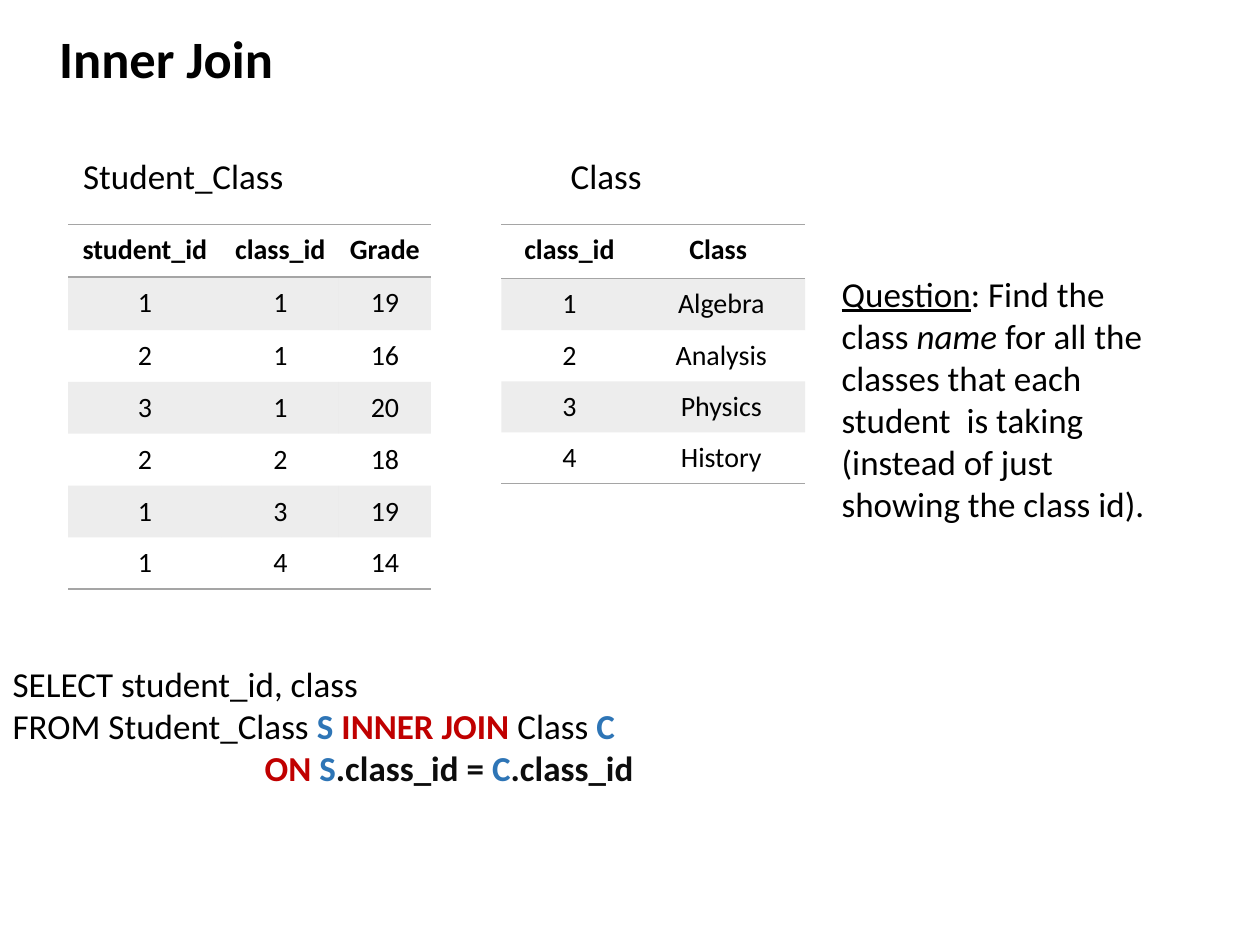
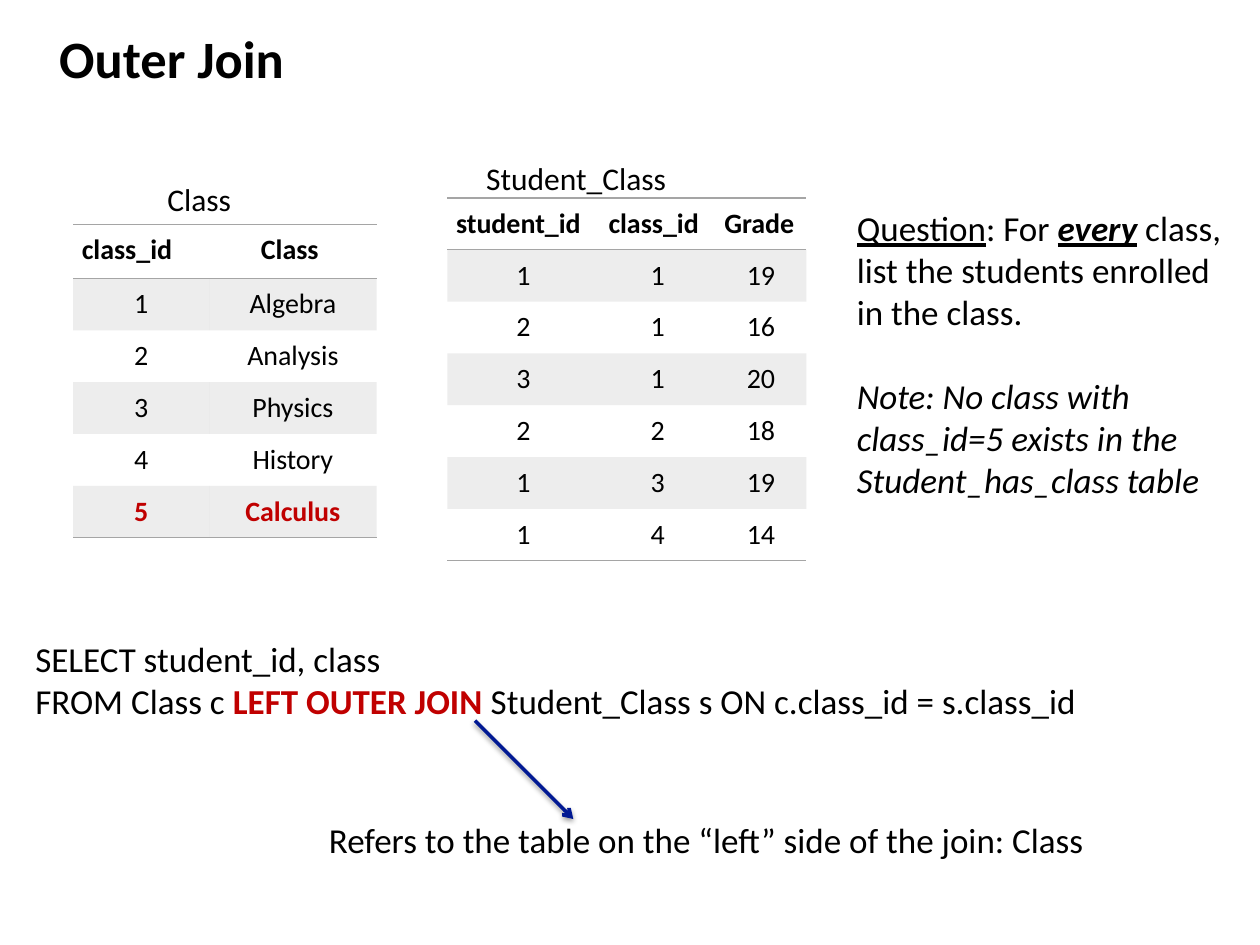
from dataclasses import dataclass

from lxml import etree
from pptx import Presentation
from pptx.dml.color import RGBColor
from pptx.enum.shapes import MSO_CONNECTOR
from pptx.enum.text import MSO_ANCHOR, MSO_AUTO_SIZE, PP_ALIGN
from pptx.oxml import parse_xml
from pptx.oxml.ns import nsdecls, qn
from pptx.util import Inches, Pt

LEFT, CENTER = PP_ALIGN.LEFT, PP_ALIGN.CENTER
TOP = MSO_ANCHOR.TOP
FIT_SHAPE, NO_FIT = MSO_AUTO_SIZE.SHAPE_TO_FIT_TEXT, MSO_AUTO_SIZE.NONE
STRAIGHT = MSO_CONNECTOR.STRAIGHT
TITLE_ONLY = 5
NO_TABLE_STYLE = "{2D5ABB26-0587-4C30-8999-92F81FD0307C}"

# The slide is a grid of 100 columns by 75 rows
COLUMNS, ROWS = 100, 75
UNIT = Inches(0.1)


@dataclass(frozen=True)
class Theme:
    font: str = "Calibri"
    title: int = 30
    body: int = 20
    caption: int = 18
    cell: int = 16
    black: str = "000000"
    ink: str = "0D0D0D"
    red: str = "C00000"
    blue: str = "2E75B6"
    arrow: str = "011993"
    grey: str = "A5A5A5"
    band_alpha: int = 20000


THEME = Theme()


@dataclass(frozen=True)
class Box:
    left: float
    top: float
    width: float
    height: float

    def inside(self, right, down, width, height):
        return Box(self.left + right, self.top + down, width, height)

    def lengths(self):
        return [grid(n) for n in (self.left, self.top, self.width, self.height)]


TITLE_BOX = Box(4.2, 1.6, 84.8, 6.1)

# Run styles
PLAIN = {}
UNDERLINED = {"underline": True}
ITALIC = {"italic": True}
STRESSED = {"bold": True, "italic": True, "underline": True}
KEYWORD = {"bold": True, "color": THEME.red}
ALIAS = {"bold": True, "color": THEME.blue}
FIELD = {"bold": True, "color": THEME.ink}

# Table contents
STUDENT_CLASS = [
    ("student_id", "class_id", "Grade"),
    ("1", "1", "19"),
    ("2", "1", "16"),
    ("3", "1", "20"),
    ("2", "2", "18"),
    ("1", "3", "19"),
    ("1", "4", "14"),
]
CLASS = [
    ("class_id", "Class "),
    ("1", "Algebra"),
    ("2", "Analysis"),
    ("3", "Physics"),
    ("4", "History"),
]
CLASS_COLUMNS = (10.8, 13.3)
CLASS_ROWS = (4.3, 4.1, 3.9)


def grid(count):
    return round(count * UNIT)


def style_font(font, size=None, color=None, bold=None, italic=None, underline=None):
    if size:
        font.name, font.size = THEME.font, Pt(size)
    if color:
        font.color.rgb = RGBColor.from_string(color)
    font.bold, font.italic, font.underline = bold, italic, underline


def write_para(para, runs, size, align=LEFT, color=THEME.black, bold=None):
    para.alignment = align
    style_font(para.font, size, color, bold)
    for text, style in runs:
        span = para.add_run()
        span.text = text
        style_font(span.font, **style)


def set_margins(frame, side):
    frame.margin_left = frame.margin_right = grid(side)
    frame.margin_top = frame.margin_bottom = grid(0.5)


def add_text(page, box, lines, size=THEME.body, wrap=True, side=0.5):
    """Write one paragraph per line and return the paragraphs."""
    frame = page.shapes.add_textbox(*box.lengths()).text_frame
    frame.word_wrap, frame.auto_size = wrap, FIT_SHAPE
    set_margins(frame, side)
    for index, runs in enumerate(lines):
        para = frame.add_paragraph() if index else frame.paragraphs[0]
        write_para(para, runs, size)
    return frame.paragraphs


def add_title(page, box, text):
    title = page.shapes.title
    title.left, title.top, title.width, title.height = box.lengths()
    frame = title.text_frame
    frame.vertical_anchor, frame.auto_size = TOP, NO_FIT
    set_margins(frame, 0.5)
    write_para(frame.paragraphs[0], [(text, PLAIN)], THEME.title, bold=True)


def add_border(cell, side):
    """Rule one side of a cell; borders come before the fill."""
    border = parse_xml(
        f'<a:{side} {nsdecls("a")} w="12700"><a:solidFill>'
        f'<a:srgbClr val="{THEME.grey}"/></a:solidFill></a:{side}>')
    properties = cell._tc.get_or_add_tcPr()
    properties.insert(len(properties.findall(qn("a:lnT"))), border)


def shade(cell):
    cell.fill.solid()
    cell.fill.fore_color.rgb = RGBColor.from_string(THEME.grey)
    color = cell._tc.tcPr.find(".//" + qn("a:srgbClr"))
    etree.SubElement(color, qn("a:alpha")).set("val", str(THEME.band_alpha))


def add_data_table(page, box, records, columns, rows, header_aligns, marked=None):
    """Rows gives the heights of the header, the first record and the rest."""
    table = page.shapes.add_table(len(records), len(columns), *box.lengths()).table
    table.horz_banding = False
    table._tbl.tblPr.find(qn("a:tableStyleId")).text = NO_TABLE_STYLE
    for column, width in zip(table.columns, columns):
        column.width = grid(width)
    for r, record in enumerate(records):
        table.rows[r].height = grid(rows[min(r, len(rows) - 1)])
        for c, text in enumerate(record):
            cell = table.cell(r, c)
            cell.margin_left = cell.margin_right = grid(0.7)
            cell.margin_top = cell.margin_bottom = grid(0.7)
            para = cell.text_frame.paragraphs[0]
            write_para(para, [(text, PLAIN)], THEME.cell,
                       CENTER if r else header_aligns[c],
                       THEME.red if r == marked else THEME.black,
                       r in (0, marked))
            if r % 2:
                shade(cell)
            else:
                cell.fill.background()
            if r == 0:
                para.space_before = Pt(5)
                add_border(cell, "lnT")
            if r in (0, len(records) - 1):
                add_border(cell, "lnB")


def add_arrow(page, box):
    start_x, start_y, width, height = box.lengths()
    arrow = page.shapes.add_connector(
        STRAIGHT, start_x, start_y, start_x + width, start_y + height)
    arrow.line.color.rgb = RGBColor.from_string(THEME.arrow)
    arrow.line.width = Pt(2)
    etree.SubElement(arrow.line._get_or_add_ln(), qn("a:tailEnd")).set("type", "arrow")
    arrow._element.spPr.append(parse_xml(
        f'<a:effectLst {nsdecls("a")}><a:outerShdw blurRad="38100" dist="20320" '
        'dir="5400000" rotWithShape="0"><a:srgbClr val="000000">'
        '<a:alpha val="38000"/></a:srgbClr></a:outerShdw></a:effectLst>'))


def build_inner_join(page, box):
    add_title(page, TITLE_BOX, "Inner Join")

    # Tables with their captions
    grades = box.inside(5.4, 17.8, 28.8, 28.8)
    add_data_table(page, grades, STUDENT_CLASS, (12.2, 9.3, 7.3),
                   (4.2, 4.2, 4.1), [CENTER] * 3)
    add_text(page, grades.inside(0.7, -6, 17.1, 4.4),
             [[("Student_Class", PLAIN)]], wrap=False)
    classes = box.inside(39.8, 17.8, 24.1, 20.6)
    add_data_table(page, classes, CLASS, CLASS_COLUMNS, CLASS_ROWS, [CENTER] * 2)
    add_text(page, classes.inside(5, -6, 6.7, 4.4), [[("Class", PLAIN)]], wrap=False)

    # Question
    add_text(page, box.inside(66.3, 21.1, 27.7, 21.2), [
        [("Question", UNDERLINED), (": Find the", PLAIN)],
        [("class ", PLAIN), ("name", ITALIC), (" for all the", PLAIN)],
        [("classes that each student  is taking (instead of just "
          "showing the class id).", PLAIN)],
    ])

    # Query
    query = add_text(page, box.inside(0.5, 52.1, 94.2, 11.1), [
        [("SELECT student_id, class", PLAIN)],
        [("FROM Student_Class ", PLAIN), ("S ", ALIAS), ("INNER JOIN ", KEYWORD),
         ("Class ", PLAIN), ("C", ALIAS)],
        [("ON ", KEYWORD), ("S", ALIAS), (".class_id = ", FIELD),
         ("C", ALIAS), (".class_id", FIELD)],
    ])
    query[-1]._p.get_or_add_pPr().set("marL", str(grid(20)))


def build_outer_join(page, box):
    add_title(page, TITLE_BOX, "Outer Join")

    # Tables with their captions
    grades = box.inside(35.5, 15.7, 28.5, 28.4)
    add_data_table(page, grades, STUDENT_CLASS, (12.1, 9.2, 7.2),
                   (4, 4, 3.9), [LEFT] * 3)
    classes = box.inside(5.8, 17.8, 24.1, 24.6)
    records = CLASS + [("5", "Calculus")]
    add_data_table(page, classes, records, CLASS_COLUMNS, CLASS_ROWS,
                   [LEFT, CENTER], marked=len(records) - 1)
    add_text(page, grades.inside(2.1, -3.6, 17.2, 4),
             [[("Student_Class", PLAIN)]], THEME.caption, wrap=False, side=1)
    add_text(page, classes.inside(6.5, -4, 7.1, 4),
             [[("Class", PLAIN)]], THEME.caption, wrap=False, side=1)

    # Question and note
    question = add_text(page, box.inside(67.5, 15.9, 30.5, 24.6), [
        [("Question", UNDERLINED), (": For ", PLAIN), ("every", STRESSED),
         (" class, list the students enrolled in the class.", PLAIN)],
        [("Note: No class with class_id=5 exists in the "
          "Student_has_class table", ITALIC)],
    ])
    question[-1].space_before = Pt(24)

    # Query with the remark its arrow leads to
    query = box.inside(2.3, 50.1, 95.1, 7.7)
    add_text(page, query, [
        [("SELECT student_id, class", PLAIN)],
        [("FROM Class c ", PLAIN), ("LEFT OUTER JOIN ", KEYWORD),
         ("Student_Class s ON c.class_id = s.class_id", PLAIN)],
    ])
    add_arrow(page, query.inside(35.4, 7.1, 7.8, 7.8))
    add_text(page, query.inside(23.3, 14.4, 71.1, 4.4), [
        [("Refers to the table on the “left” side of the join: Class", PLAIN)],
    ])


def main():
    deck = Presentation()
    deck.slide_width, deck.slide_height = grid(COLUMNS), grid(ROWS)
    whole = Box(0, 0, COLUMNS, ROWS)
    for build in (build_inner_join, build_outer_join):
        build(deck.slides.add_slide(deck.slide_layouts[TITLE_ONLY]), whole)
    deck.save("out.pptx")


if __name__ == "__main__":
    main()
